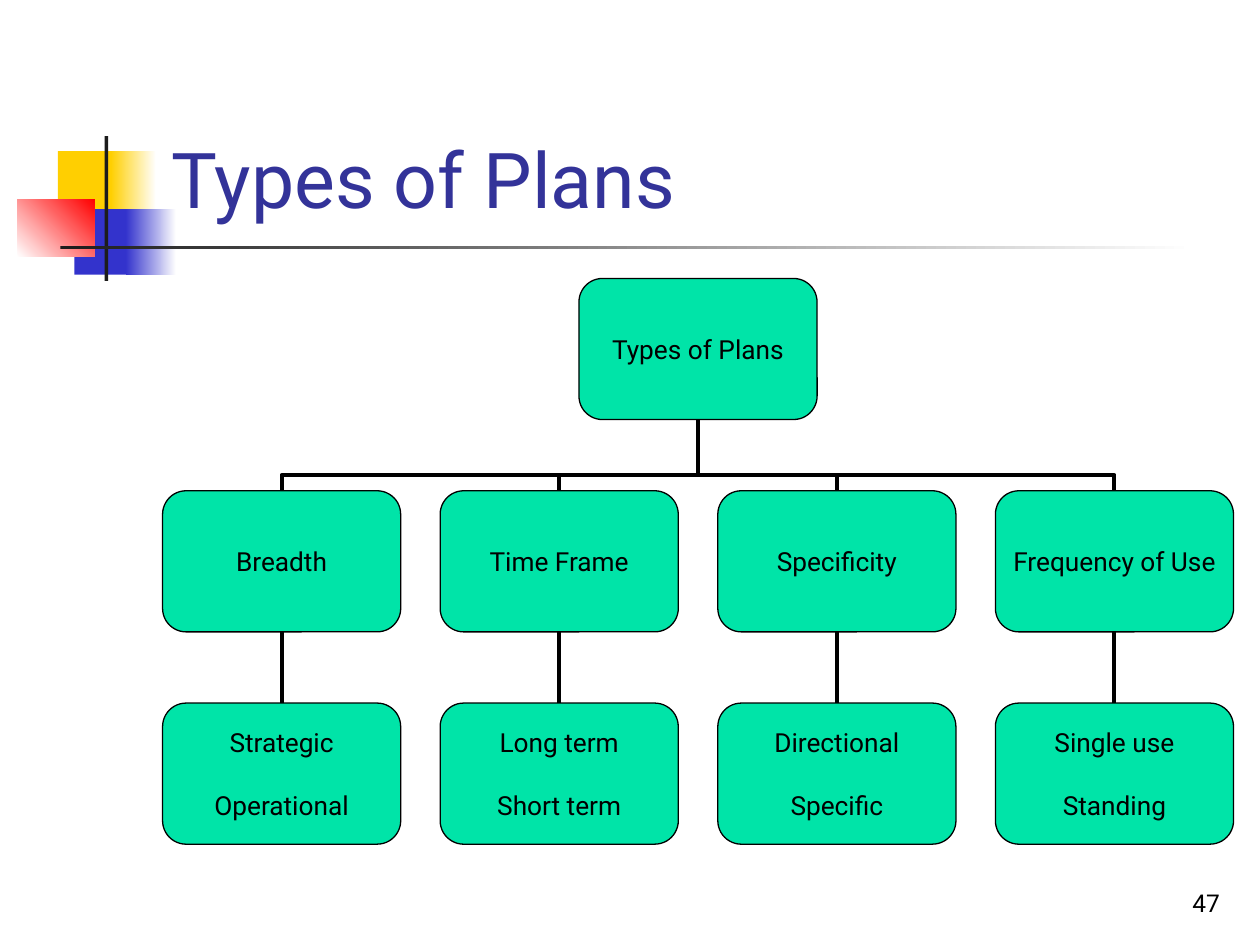
from lxml import etree
from pptx import Presentation
from pptx.dml.color import RGBColor
from pptx.enum.shapes import MSO_CONNECTOR, MSO_SHAPE
from pptx.enum.text import MSO_ANCHOR, MSO_AUTO_SIZE, PP_ALIGN
from pptx.oxml.ns import qn
from pptx.util import Inches, Pt

RECTANGLE, ROUNDED = MSO_SHAPE.RECTANGLE, MSO_SHAPE.ROUNDED_RECTANGLE
STRAIGHT, ELBOW = MSO_CONNECTOR.STRAIGHT, MSO_CONNECTOR.ELBOW
MIDDLE, BOTTOM = MSO_ANCHOR.MIDDLE, MSO_ANCHOR.BOTTOM
LEFT, CENTER, RIGHT = PP_ALIGN.LEFT, PP_ALIGN.CENTER, PP_ALIGN.RIGHT
FONT = "Roboto"
COLORS = {
    "yellow": "FFCF01",
    "blue": "3333CC",
    "red": "FF0000",
    "charcoal": "1C1C1C",
    "white": "FFFFFF",
    "black": "000000",
    "title": "333399",
    "green": "00E4A8",
}
BRANCHES = [
    ("Breadth", ["Strategic", "Operational"]),
    ("Time Frame", ["Long term", "Short term"]),
    ("Specificity", ["Directional", "Specific"]),
    ("Frequency of Use", ["Single use", "Standing"]),
]


def color(key):
    return RGBColor.from_string(COLORS[key])


def write(frame, lines, size, ink, align, anchor, gap=0):
    frame.vertical_anchor = anchor
    for index, line in enumerate(lines):
        paragraph = frame.paragraphs[0] if index == 0 else frame.add_paragraph()
        paragraph.alignment = align
        if index:
            paragraph.space_before = Pt(gap)
        run = paragraph.add_run()
        run.text = line
        run.font.name = FONT
        run.font.size = Pt(size)
        run.font.color.rgb = color(ink)


def add_block(slide, box, start, end=None, angle=0):
    block = slide.shapes.add_shape(RECTANGLE, *map(Inches, box))
    block.shadow.inherit = False
    block.line.fill.background()
    if end is None:
        block.fill.solid()
        block.fill.fore_color.rgb = color(start)
        return
    block.fill.gradient()
    block.fill.gradient_angle = angle
    for stop, key in zip(block.fill.gradient_stops, (start, end)):
        stop.color.rgb = color(key)


def add_ornament(slide, left, top):
    for dx, dy, width, height, *paint in [
        (0.32, 0.12, 0.48, 0.52, "yellow"),
        (0.74, 0.12, 0.36, 0.52, "yellow", "white"),
        (0.45, 0.58, 0.46, 0.52, "blue"),
        (0.86, 0.58, 0.4, 0.52, "blue", "white"),
        (0, 0.5, 0.61, 0.46, "white", "red", 45),
        (0.69, 0, 0.03, 1.15, "charcoal"),
        (0.34, 0.87, 9, 0.03, "charcoal", "white"),
    ]:
        add_block(slide, (left + dx, top + dy, width, height), *paint)


def add_title(slide, left, top, width, height):
    title = slide.shapes.title
    title.left, title.top = Inches(left), Inches(top)
    title.width, title.height = Inches(width), Inches(height)
    title.text_frame.auto_size = MSO_AUTO_SIZE.NONE
    write(title.text_frame, ["Types of Plans"], 44, "title", LEFT, BOTTOM)


def add_page_number(slide, left, top, width, height):
    number = slide.shapes.add_textbox(*map(Inches, (left, top, width, height)))
    number.text_frame.word_wrap = True
    write(number.text_frame, ["47"], 14, "black", RIGHT, BOTTOM)


def add_node(slide, left, top, width, height, lines):
    node = slide.shapes.add_shape(ROUNDED, *map(Inches, (left, top, width, height)))
    node.shadow.inherit = False
    node.fill.solid()
    node.fill.fore_color.rgb = color("green")
    node.line.color.rgb = color("black")
    node.line.width = Pt(0.75)
    frame = node.text_frame
    frame.margin_left = frame.margin_right = frame.margin_top = frame.margin_bottom = 0
    frame.word_wrap = False
    write(frame, lines, 15, "black", CENTER, MIDDLE, gap=18)
    return node


def link(slide, child, parent, kind):
    connector = slide.shapes.add_connector(kind, 0, 0, 0, 0)
    connector.begin_connect(child, 0)
    connector.end_connect(parent, 2)
    connector.line.color.rgb = color("black")
    connector.line.width = Pt(2.25)
    etree.SubElement(connector._element.spPr, qn("a:effectLst"))
    return connector


def bend_upward(connector):
    x1, y1, x2, y2 = connector.begin_x, connector.begin_y, connector.end_x, connector.end_y
    rise, run = y1 - y2, abs(x2 - x1)
    connector.left = (x1 + x2 - rise) // 2
    connector.top = (y1 + y2 - run) // 2
    connector.width, connector.height = rise, run
    properties = connector._element.spPr
    transform = properties.find(qn("a:xfrm"))
    from_left = x1 < x2
    transform.set("rot", str((90 if from_left else 270) * 60000))
    transform.set("flipH", "1" if from_left else "0")
    transform.set("flipV", "1")
    geometry = properties.find(qn("a:prstGeom"))
    guides = geometry.find(qn("a:avLst"))
    if guides is None:
        guides = etree.SubElement(geometry, qn("a:avLst"))
    etree.SubElement(guides, qn("a:gd"), name="adj1", fmla="val 22200")


def add_plan_tree(slide, left, top, width, height):
    node_width, node_height = 1.89, 1.12
    column_step = (width - node_width) / (len(BRANCHES) - 1)
    row_step = (height - node_height) / 2
    size = (node_width, node_height)
    root = add_node(slide, left + (width - node_width) / 2, top, *size, ["Types of Plans"])
    for column, (category, plans) in enumerate(BRANCHES):
        x = left + column * column_step
        category_node = add_node(slide, x, top + row_step, *size, [category])
        plans_node = add_node(slide, x, top + 2 * row_step, *size, plans)
        bend_upward(link(slide, category_node, root, ELBOW))
        link(slide, plans_node, category_node, STRAIGHT)


def main():
    deck = Presentation()
    deck.slide_width, deck.slide_height = Inches(10), Inches(7.5)
    slide = deck.slides.add_slide(deck.slide_layouts[5])
    add_ornament(slide, 0.14, 1.08)
    add_page_number(slide, 7.7, 6.83, 2.08, 0.5)
    add_title(slide, 1.26, 0.23, 8.52, 1.6)
    add_plan_tree(slide, 1.29, 2.21, 8.5, 4.49)
    deck.save("out.pptx")


if __name__ == "__main__":
    main()
